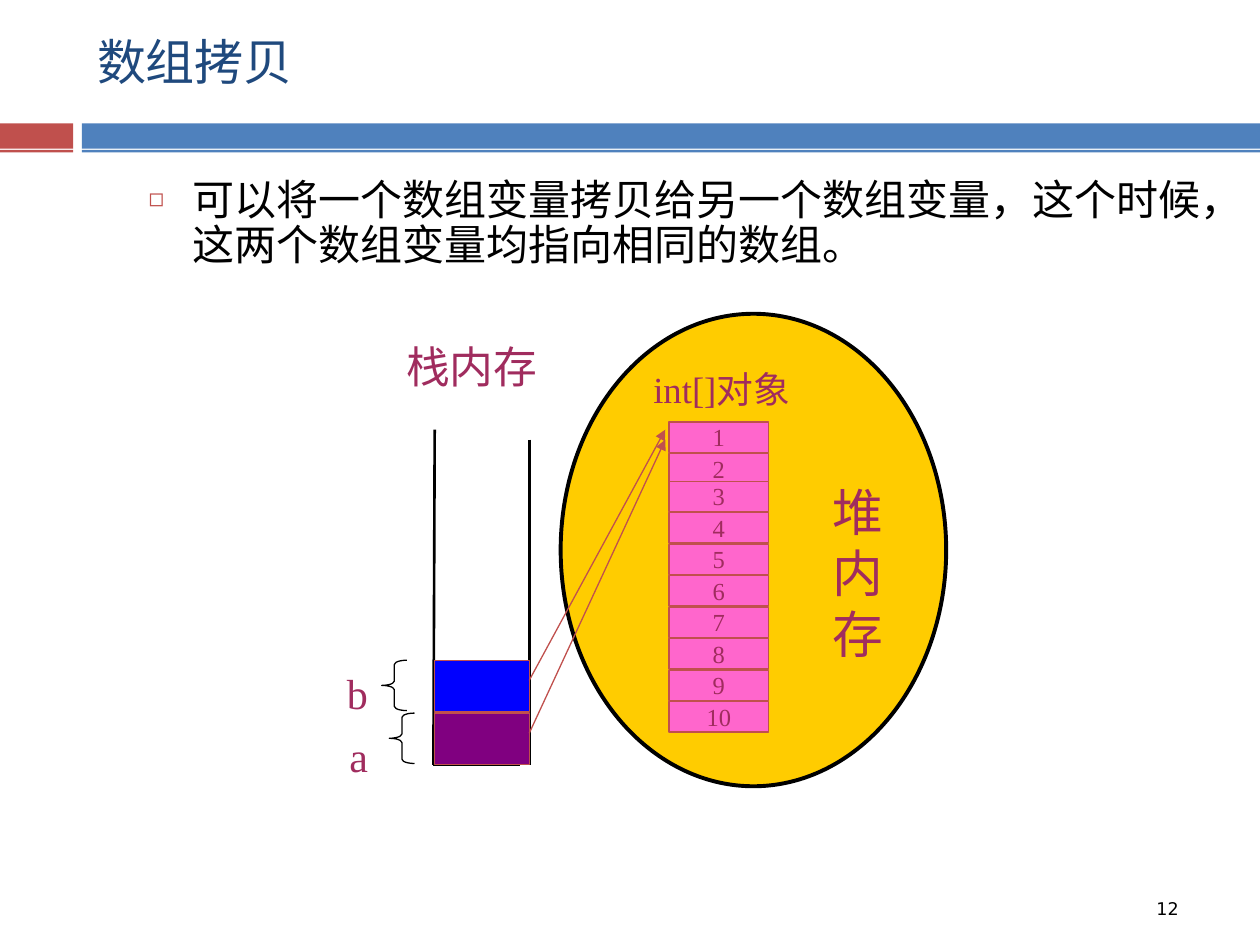
from dataclasses import dataclass
from lxml.etree import SubElement
from pptx import Presentation
from pptx.dml.color import RGBColor
from pptx.enum.shapes import MSO_CONNECTOR, MSO_SHAPE
from pptx.enum.text import MSO_ANCHOR, MSO_AUTO_SIZE, PP_ALIGN
from pptx.oxml.ns import qn
from pptx.util import Inches, Pt


@dataclass(frozen=True)
class Theme:
    black: str = "000000"
    navy: str = "1F497D"
    red: str = "C0504D"
    steel: str = "4F81BD"
    gold: str = "FFCC00"
    pink: str = "FF66CC"
    plum: str = "A02C5E"
    blue: str = "0000FF"
    purple: str = "800080"
    sans: str = "DejaVu Sans"
    serif: str = "Times New Roman"
    title: int = 28
    body: int = 24
    label: int = 24
    stack: int = 25
    heap: int = 29
    array: int = 21
    cell: int = 14
    page: int = 10
    thin: float = 0.75
    rule: float = 1.5
    thick: float = 2.25


class Deck:
    wide, high = Inches(10), Inches(7.5)
    cols, rows = 100, 75

    def __init__(self, theme):
        self.theme = theme
        self.show = Presentation()
        self.show.slide_width, self.show.slide_height = self.wide, self.high
        self.slide = self.show.slides.add_slide(self.show.slide_layouts[1])

    def grid(self, col, row):
        return int(self.wide * col / self.cols), int(self.high * row / self.rows)

    def place(self, box):
        return *self.grid(*box[:2]), *self.grid(*box[2:])

    def add_text(self, frame, text, size, color, font, align=PP_ALIGN.LEFT):
        para = frame.paragraphs[0]
        para.alignment = align
        run = para.add_run()
        run.text = text
        run.font.size, run.font.name = Pt(size), font
        run.font.color.rgb = RGBColor.from_string(color)
        return para

    def holder(self, index, box, anchor):
        item = self.slide.placeholders[index]
        item.left, item.top, item.width, item.height = self.place(box)
        frame = item.text_frame
        frame.auto_size, frame.vertical_anchor = MSO_AUTO_SIZE.NONE, anchor
        return frame

    def title(self, box, text):
        t = self.theme
        frame = self.holder(0, box, MSO_ANCHOR.MIDDLE)
        self.add_text(frame, text, t.title, t.navy, t.sans)

    def bullet(self, box, text):
        t = self.theme
        frame = self.holder(1, box, MSO_ANCHOR.TOP)
        para = self.add_text(frame, text, t.body, t.black, t.sans)
        para.line_spacing, para.space_before = 0.9, Pt(7)
        props = para._p.get_or_add_pPr()
        props.set("marL", str(Inches(0.35)))
        props.set("indent", str(-Inches(0.35)))
        SubElement(SubElement(props, qn("a:buClr")), qn("a:srgbClr"), val=t.red)
        SubElement(props, qn("a:buSzPct"), val="60000")
        SubElement(props, qn("a:buChar"), char="◻")

    def shape(self, kind, box, fill=None, line=None, width=0):
        item = self.slide.shapes.add_shape(kind, *self.place(box))
        item.shadow.inherit = False
        if fill:
            item.fill.solid()
            item.fill.fore_color.rgb = RGBColor.from_string(fill)
        else:
            item.fill.background()
        if line:
            item.line.color.rgb = RGBColor.from_string(line)
            item.line.width = Pt(width)
        else:
            item.line.fill.background()
        return item

    def block(self, box, fill):
        return self.shape(MSO_SHAPE.RECTANGLE, box, fill, self.theme.red, self.theme.thin)

    def cell(self, box, text):
        t = self.theme
        frame = self.block(box, t.pink).text_frame
        self.pad(frame, 0)
        self.add_text(frame, text, t.cell, t.plum, t.serif, PP_ALIGN.CENTER)

    def brace(self, box):
        item = self.shape(MSO_SHAPE.LEFT_BRACE, box, None, self.theme.black, self.theme.thin)
        item.adjustments[0] = 0.17

    def pad(self, frame, edge):
        frame.word_wrap, frame.vertical_anchor = True, MSO_ANCHOR.TOP
        frame.margin_left = frame.margin_right = Inches(0.12)
        frame.margin_top = frame.margin_bottom = Inches(edge)

    def label(self, box, text, size, align=PP_ALIGN.RIGHT):
        frame = self.slide.shapes.add_textbox(*self.place(box)).text_frame
        self.pad(frame, 0.06)
        self.add_text(frame, text, size, self.theme.plum, self.theme.serif, align)

    def page(self, box, text):
        t = self.theme
        frame = self.slide.shapes.add_textbox(*self.place(box)).text_frame
        frame.word_wrap = True
        self.add_text(frame, text, t.page, t.black, t.sans)

    def line(self, start, end, color, width, arrow=False):
        item = self.slide.shapes.add_connector(
            MSO_CONNECTOR.STRAIGHT, *self.grid(*start), *self.grid(*end))
        item.line.color.rgb = RGBColor.from_string(color)
        item.line.width = Pt(width)
        if arrow:
            SubElement(item.line._ln, qn("a:tailEnd"), type="triangle")
        SubElement(item._element.spPr, qn("a:effectLst"))


def main():
    t = Theme()
    deck = Deck(t)

    for top, high in ((9.8, 2), (11.9, 0.2)):
        deck.shape(MSO_SHAPE.RECTANGLE, (0, top, 5.8, high), t.red)
        deck.shape(MSO_SHAPE.RECTANGLE, (6.5, top, 93.5, high), t.steel)
    deck.title((6.7, 0.1, 89.2, 9.4), "数组拷贝")
    deck.bullet((10.8, 13.7, 89.2, 53.1),
                "可以将一个数组变量拷贝给另一个数组变量，这个时候，这两个数组变量均指向相同的数组。")

    deck.shape(MSO_SHAPE.OVAL, (44.5, 24.9, 30.6, 37.5), t.gold, t.black, t.thick)
    deck.label((64.9, 37.6, 4.9, 15.7), "堆内存", t.heap)
    deck.label((47.2, 28.5, 16.7, 4.7), "int[]对象", t.array)
    for i in range(10):
        shift = 0.3 if i > 1 else 0
        deck.cell((53.1, 33.5 + 2.5 * i - shift, 7.9, 2.4), str(i + 1))

    deck.label((29.6, 26.4, 15.7, 5.3), "栈内存", t.stack, PP_ALIGN.CENTER)
    base = 60.7
    for start, end in (((34.5, 34.1), (34.4, base)),
                       ((42, 34.9), (42, base)),
                       ((34.4, base), (41.3, base))):
        deck.line(start, end, t.black, t.rule)

    for name, top, row, left, fill, tip in (
            ("b", 52.4, 52.4, 30.3, t.blue, 34.1),
            ("a", 56.6, 57.4, 30.9, t.purple, 34.9)):
        deck.block((34.5, top, 7.5, 4.1), fill)
        deck.brace((left, top, 2, 4))
        deck.label((23.6, row, 6.8, 5.2), name, t.label)
        deck.line((42, top + 1.6), (52.8, tip), t.red, t.thin, arrow=True)

    deck.page((90.8, 70.8, 4.2, 3.7), "12")
    deck.show.save("out.pptx")


if __name__ == "__main__":
    main()
